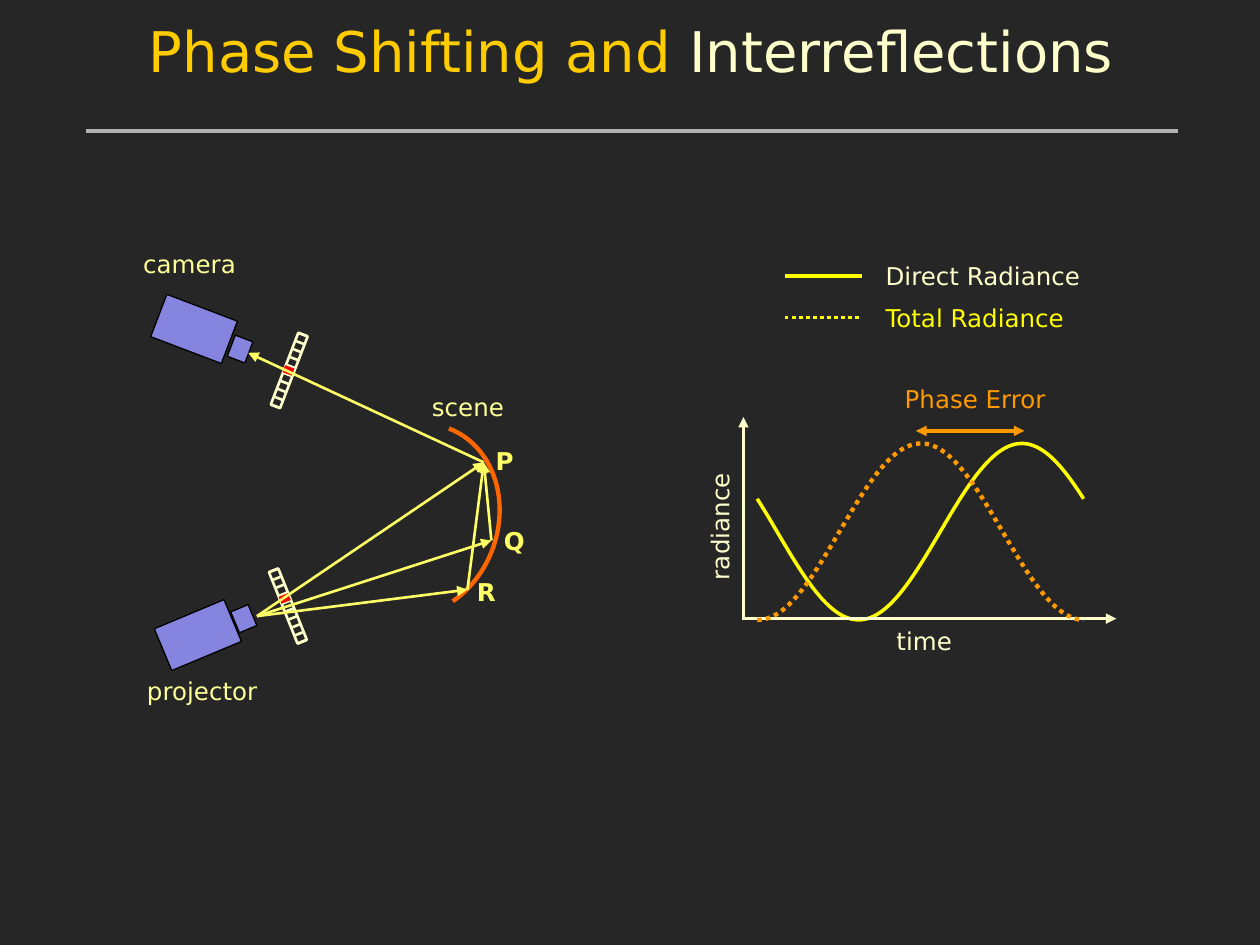
from dataclasses import dataclass
from math import cos, pi, radians, sin
from typing import Any

from lxml.etree import SubElement
from pptx import Presentation
from pptx.dml.color import RGBColor
from pptx.enum.dml import MSO_LINE
from pptx.enum.shapes import MSO_CONNECTOR, MSO_SHAPE
from pptx.enum.text import MSO_ANCHOR, MSO_AUTO_SIZE, PP_ALIGN
from pptx.oxml.ns import qn
from pptx.util import Inches, Pt

FONT = "DejaVu Sans"
CHARCOAL = RGBColor(0x26, 0x26, 0x26)
GRAY = RGBColor(0xB2, 0xB2, 0xB2)
BLACK = RGBColor(0x00, 0x00, 0x00)
GOLD = RGBColor(0xFF, 0xCC, 0x00)
CREAM = RGBColor(0xFF, 0xFF, 0xCC)
PALE_YELLOW = RGBColor(0xFF, 0xFF, 0x99)
RAY_YELLOW = RGBColor(0xFF, 0xFF, 0x66)
YELLOW = RGBColor(0xFF, 0xFF, 0x00)
ORANGE = RGBColor(0xFF, 0x99, 0x00)
DEEP_ORANGE = RGBColor(0xFF, 0x66, 0x00)
RED = RGBColor(0xFF, 0x00, 0x00)
LAVENDER = RGBColor(0x85, 0x85, 0xE0)


@dataclass
class Region:
    """A box on the slide whose parts are placed relative to its corner."""

    shapes: Any
    left: float
    top: float

    def at(self, x, y):
        """Return the slide position of a point in the region."""
        return Inches(self.left + x), Inches(self.top + y)

    def group(self):
        """Return the same region drawing into a new group."""
        return Region(self.shapes.add_group_shape().shapes, self.left, self.top)

    def text(self, words, x, y, width, height, color, bold=False,
             align=PP_ALIGN.CENTER, grow=False):
        """Add a one-line label and return it."""
        label = self.shapes.add_textbox(*self.at(x, y), Inches(width), Inches(height))
        frame = label.text_frame
        frame.word_wrap = True
        if grow:
            frame.auto_size = MSO_AUTO_SIZE.SHAPE_TO_FIT_TEXT
        else:
            frame.vertical_anchor = MSO_ANCHOR.MIDDLE
        paragraph = frame.paragraphs[0]
        paragraph.text = words
        paragraph.alignment = align
        font = paragraph.font
        font.name, font.size, font.bold = FONT, Pt(14), bold
        font.color.rgb = color
        return label

    def line(self, start, end, color, weight=1.5, dash=None, head=False, tail=False):
        """Add a straight line with optional arrowheads."""
        connector = self.shapes.add_connector(
            MSO_CONNECTOR.STRAIGHT, *self.at(*start), *self.at(*end))
        connector.line.color.rgb = color
        connector.line.width = Pt(weight)
        if dash:
            connector.line.dash_style = dash
        properties = connector._element.spPr
        outline = properties.find(qn("a:ln"))
        for tag, wanted in (("a:headEnd", head), ("a:tailEnd", tail)):
            if wanted:
                SubElement(outline, qn(tag), type="triangle")
        SubElement(properties, qn("a:effectLst"))

    def preset(self, kind, x, y, width, height, rotation, fill=None, line=None, weight=1.5):
        """Add a rotated preset shape and return it."""
        shape = self.shapes.add_shape(kind, *self.at(x, y), Inches(width), Inches(height))
        shape.rotation = rotation
        finish(shape, fill, line, weight)
        return shape


def finish(shape, fill, line, weight):
    """Set the fill and outline of a shape and remove its shadow."""
    shape.shadow.inherit = False
    if fill is None:
        shape.fill.background()
    else:
        shape.fill.solid()
        shape.fill.fore_color.rgb = fill
    if line is None:
        shape.line.fill.background()
    else:
        shape.line.color.rgb = line
        shape.line.width = Pt(weight)


def add_title(slide, region):
    """Place the two-coloured title and the rule below it."""
    title = slide.shapes.title
    title.left, title.top = region.at(0, 0)
    title.width, title.height = Inches(9.4), Inches(0.92)
    title.text_frame.vertical_anchor = MSO_ANCHOR.TOP
    paragraph = title.text_frame.paragraphs[0]
    paragraph.alignment = PP_ALIGN.CENTER
    paragraph.font.name, paragraph.font.size = FONT, Pt(32)
    for words, color in (("Phase Shifting and ", GOLD), ("Interreflections", CREAM)):
        run = paragraph.add_run()
        run.text = words
        run.font.color.rgb = color
    region.line((0.37, 0.96), (9.04, 0.96), GRAY, 1.75)


def add_device(region, body, lens, rotation):
    """Draw a camera or projector as a body and a lens."""
    device = region.group()
    for corner, size in ((body, (0.6, 0.36)), (lens, (0.15, 0.18))):
        device.preset(MSO_SHAPE.RECTANGLE, *corner, *size, rotation, LAVENDER, BLACK, 0.75)


def add_pixel_strip(region, x, y, rotation, cells=9):
    """Draw a tilted strip of equal pixels."""
    strip = region.group()
    length, width = 0.61, 0.08
    strip.preset(MSO_SHAPE.RECTANGLE, x, y, length, width, rotation, line=CREAM)
    along_x, along_y = cos(radians(rotation)), sin(radians(rotation))
    half_x, half_y = along_y * width / 2, -along_x * width / 2
    for index in range(cells + 1):
        offset = length * (index / cells - 0.5)
        center_x = x + length / 2 + along_x * offset
        center_y = y + width / 2 + along_y * offset
        strip.line((center_x + half_x, center_y + half_y),
                   (center_x - half_x, center_y - half_y), CREAM)


def add_scene(region):
    """Draw the camera, the projector, the scene and the light rays."""
    for words, x, y in (("camera", 0.17, 0.32), ("projector", 0.27, 3.71),
                        ("scene", 2.38, 1.46)):
        region.text(words, x, y, 1.67, 0.54, PALE_YELLOW)
    add_device(region, (0.74, 0.93), (1.33, 1.18), 200.8)
    add_device(region, (0.77, 3.36), (1.36, 3.32), 157.3)
    add_pixel_strip(region, 1.49, 1.4, 111)
    add_pixel_strip(region, 1.48, 3.27, 68.2)
    for x, y, rotation in ((1.75, 1.41, 20.3), (1.72, 3.22, 338.1)):
        region.preset(MSO_SHAPE.RECTANGLE, x, y, 0.08, 0.06, rotation, RED)

    camera, projector = (1.47, 1.3), (1.54, 3.39)
    point_p, point_q, point_r = (3.34, 2.17), (3.4, 2.79), (3.21, 3.18)
    region.line(camera, point_p, RAY_YELLOW, head=True)
    region.line(projector, point_p, RAY_YELLOW, tail=True)
    surface = region.preset(MSO_SHAPE.ARC, 2.12, 1.85, 1.33, 1.56, 20.9,
                            line=DEEP_ORANGE, weight=2.5)
    surface.adjustments[0], surface.adjustments[1] = 162, 26.09
    region.text("P", 2.92, 2.02, 1.17, 0.27, RAY_YELLOW, bold=True)
    for name, point, x, y in (("Q", point_q, 3.4, 2.66), ("R", point_r, 3.18, 3.06)):
        bounce = region.group()
        bounce.line(projector, point, RAY_YELLOW, tail=True)
        bounce.line(point, point_p, RAY_YELLOW, tail=True)
        bounce.text(name, x, y, 0.36, 0.27, RAY_YELLOW, bold=True)


def add_wave(region, peak, color, weight, dash=None, steps=200):
    """Draw one period of a cosine that is highest at the given time."""
    start, period, middle, amplitude = 0.51, 2.59, 2.42, 0.7
    points = []
    for step in range(steps + 1):
        time = period * step / steps
        height = amplitude * cos(2 * pi * (time - peak) / period)
        points.append(region.at(start + time, middle - height))
    builder = region.shapes.build_freeform(*points[0])
    builder.add_line_segments(points[1:], close=False)
    wave = builder.convert_to_shape()
    finish(wave, None, color, weight)
    if dash:
        wave.line.dash_style = dash


def add_graph(region):
    """Draw radiance over time with its legend and phase error."""
    add_wave(region, 2.1, YELLOW, 2)
    region.line((0.39, 3.11), (3.36, 3.11), CREAM, tail=True)
    region.line((0.4, 3.12), (0.4, 1.51), CREAM, tail=True)
    region.text("time", 0.39, 3.12, 2.89, 0.34, CREAM, grow=True)
    radiance = region.text("radiance", -1.02, 2.21, 2.47, 0.34, CREAM, grow=True)
    radiance.rotation = 270
    add_wave(region, 1.3, ORANGE, 2.5, MSO_LINE.ROUND_DOT)
    for row, (words, color, dash) in enumerate((
            ("Direct Radiance", CREAM, None),
            ("Total Radiance", YELLOW, MSO_LINE.ROUND_DOT))):
        y = 0.12 + 0.33 * row
        region.text(words, 1.43, y, 2.82, 0.54, color, align=PP_ALIGN.LEFT)
        region.line((0.73, y + 0.27), (1.34, y + 0.27), YELLOW, 2, dash)
    region.line((1.77, 1.62), (2.63, 1.62), ORANGE, 2, head=True, tail=True)
    region.text("Phase Error", 1.17, 1.2, 2.14, 0.34, ORANGE, grow=True)


def main():
    """Build and save the slide."""
    deck = Presentation()
    deck.slide_width, deck.slide_height = Inches(10), Inches(7.5)
    slide = deck.slides.add_slide(deck.slide_layouts[5])
    slide.background.fill.solid()
    slide.background.fill.fore_color.rgb = CHARCOAL
    add_title(slide, Region(slide.shapes, 0.31, 0.08))
    add_scene(Region(slide.shapes, 0.5, 1.5))
    add_graph(Region(slide.shapes, 5.5, 1.8))
    deck.save("out.pptx")


if __name__ == "__main__":
    main()
